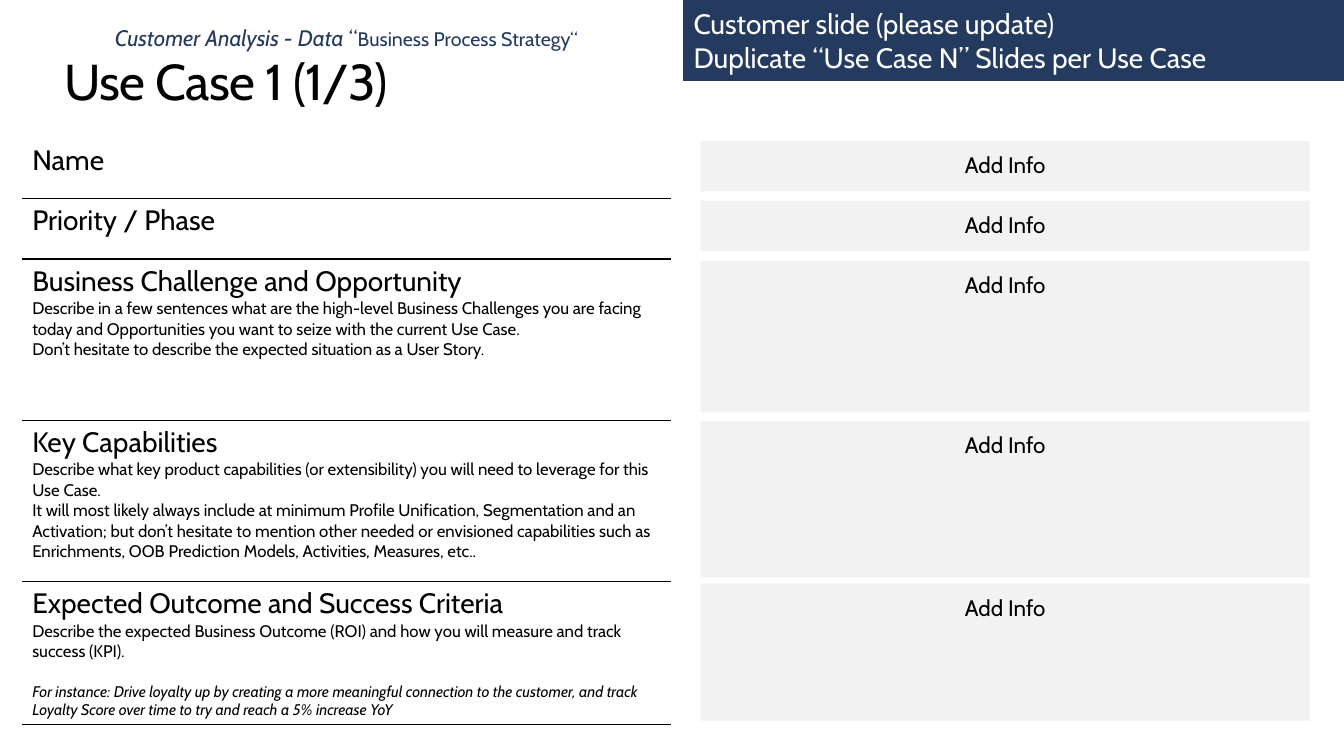
from lxml.etree import SubElement
from pptx import Presentation
from pptx.dml.color import RGBColor
from pptx.enum.shapes import MSO_SHAPE
from pptx.enum.text import MSO_ANCHOR, MSO_AUTO_SIZE, PP_ALIGN
from pptx.oxml import parse_xml
from pptx.oxml.ns import nsdecls, qn
from pptx.util import Inches, Pt

NAVY = RGBColor(0x24, 0x3A, 0x5E)
GREY = RGBColor(0xF2, 0xF2, 0xF2)
BLACK = RGBColor(0, 0, 0)
WHITE = RGBColor(0xFF, 0xFF, 0xFF)
PLAIN_TABLE = "{2D5ABB26-0587-4C30-8999-92F81FD0307C}"


def add_span(para, text, size=16, color=BLACK, italic=False, spacing=None):
    """Add one run of text with its format."""
    span = para.add_run()
    span.text = text
    span.font.name = "Cabin"
    span.font.size = Pt(size)
    span.font.color.rgb = color
    span.font.italic = italic
    if spacing is not None:
        span.font._element.set("spc", str(round(spacing * 100)))


class UseCaseSlide:
    def __init__(self, deck):
        self.slide = deck.slides.add_slide(deck.slide_layouts[5])
        self.shapes = self.slide.shapes

    def frame(self, box, margins, anchor=MSO_ANCHOR.TOP):
        frame = box.text_frame
        frame.word_wrap = True
        frame.auto_size = MSO_AUTO_SIZE.NONE
        frame.vertical_anchor = anchor
        (frame.margin_left, frame.margin_top,
         frame.margin_right, frame.margin_bottom) = map(Inches, margins)
        return frame

    def title(self, text, *place):
        box = self.shapes.title
        box.left, box.top, box.width, box.height = map(Inches, place)
        para = self.frame(box, (0, 0, 0, 0)).paragraphs[0]
        para.alignment = PP_ALIGN.LEFT
        add_span(para, text, size=36, spacing=-0.5)

    def text(self, spans, *place):
        box = self.shapes.add_textbox(*map(Inches, place))
        para = self.frame(box, (0, 0, 0, 0)).paragraphs[0]
        for text, style in spans:
            add_span(para, text, color=NAVY, **style)

    def panel(self, lines, *place, fill=GREY, margins=(0.1, 0.1, 0.1, 0.05),
              anchor=MSO_ANCHOR.TOP, align=PP_ALIGN.CENTER, **style):
        box = self.shapes.add_shape(MSO_SHAPE.RECTANGLE, *map(Inches, place))
        box.shadow.inherit = False
        box.fill.solid()
        box.fill.fore_color.rgb = fill
        box.line.fill.background()
        frame = self.frame(box, margins, anchor)
        for index, line in enumerate(lines):
            para = frame.add_paragraph() if index else frame.paragraphs[0]
            para.alignment = align
            add_span(para, line, **style)
        return box

    def table(self, sections, heights, *place):
        table = self.shapes.add_table(
            len(sections), 1, *map(Inches, place)).table
        table.first_row = table.horz_banding = False
        properties = table._tbl.tblPr
        style = properties.find(qn("a:tableStyleId"))
        if style is None:
            style = SubElement(properties, qn("a:tableStyleId"))
        style.text = PLAIN_TABLE
        for row, height, (heading, notes) in zip(table.rows, heights, sections):
            row.height = Inches(height)
            cell = row.cells[0]
            cell.fill.background()
            add_span(cell.text_frame.paragraphs[0], heading, size=20)
            for note in notes:
                para = cell.text_frame.add_paragraph()
                example = note.startswith("For instance")
                if example:
                    para.space_before = Pt(14.5)
                add_span(para, note, size=11 if example else 12, italic=example)
            self.rule_below(cell)

    def rule_below(self, cell):
        rule = parse_xml(
            f'<a:lnB {nsdecls("a")} w="{Pt(1)}"><a:solidFill>'
            f'<a:srgbClr val="{BLACK}"/></a:solidFill></a:lnB>')
        cell._tc.get_or_add_tcPr().insert(0, rule)


SECTIONS = [
    ("Name", []),
    ("Priority / Phase", []),
    ("Business Challenge and Opportunity", [
        "Describe in a few sentences what are the high-level Business "
        "Challenges you are facing today and Opportunities you want to seize "
        "with the current Use Case.",
        "Don’t hesitate to describe the expected situation as a User Story.",
    ]),
    ("Key Capabilities", [
        "Describe what key product capabilities (or extensibility) you will "
        "need to leverage for this Use Case.",
        "It will most likely always include at minimum Profile Unification, "
        "Segmentation and an Activation; but don’t hesitate to mention other "
        "needed or envisioned capabilities such as Enrichments, OOB "
        "Prediction Models, Activities, Measures, etc..",
    ]),
    ("Expected Outcome and Success Criteria", [
        "Describe the expected Business Outcome (ROI) and how you will "
        "measure and track success (KPI).",
        "For instance: Drive loyalty up by creating a more meaningful "
        "connection to the customer, and track Loyalty Score over time to "
        "try and reach a 5% increase YoY",
    ]),
]
ROW_HEIGHTS = [0.6, 0.6, 1.6, 1.6, 1.4]
ANSWER_PANELS = [(1.4, 0.5), (1.99, 0.5), (2.59, 1.5), (4.18, 1.55), (5.79, 1.36)]


def main():
    deck = Presentation()
    deck.slide_width, deck.slide_height = Inches(13.33), Inches(7.5)
    page = UseCaseSlide(deck)

    # Heading
    page.title("Use Case 1 (1/3)", 0.64, 0.5, 12.05, 0.61)
    page.text([("Customer Analysis - Data", {"italic": True}), (" “", {}),
               ("Business Process Strategy“", {"size": 14})],
              1.14, 0.24, 4.94, 0.27)

    # Questions on the left, answers on the right
    page.table(SECTIONS, ROW_HEIGHTS, 0.22, 1.37, 6.44, sum(ROW_HEIGHTS))
    for top, height in ANSWER_PANELS:
        page.panel(["Add Info"], 6.95, top, 6.04, height)

    # Instruction banner
    banner = page.panel(
        ["Customer slide (please update)",
         "Duplicate “Use Case N” Slides per Use Case"],
        6.78, 0, 6.55, 0.8, fill=NAVY, margins=(0.1, 0.05, 0.1, 0.05),
        anchor=MSO_ANCHOR.MIDDLE, align=PP_ALIGN.LEFT, size=20, color=WHITE)
    banner.line.color.rgb = NAVY
    banner.line.width = Pt(0.25)

    deck.save("out.pptx")


if __name__ == "__main__":
    main()
